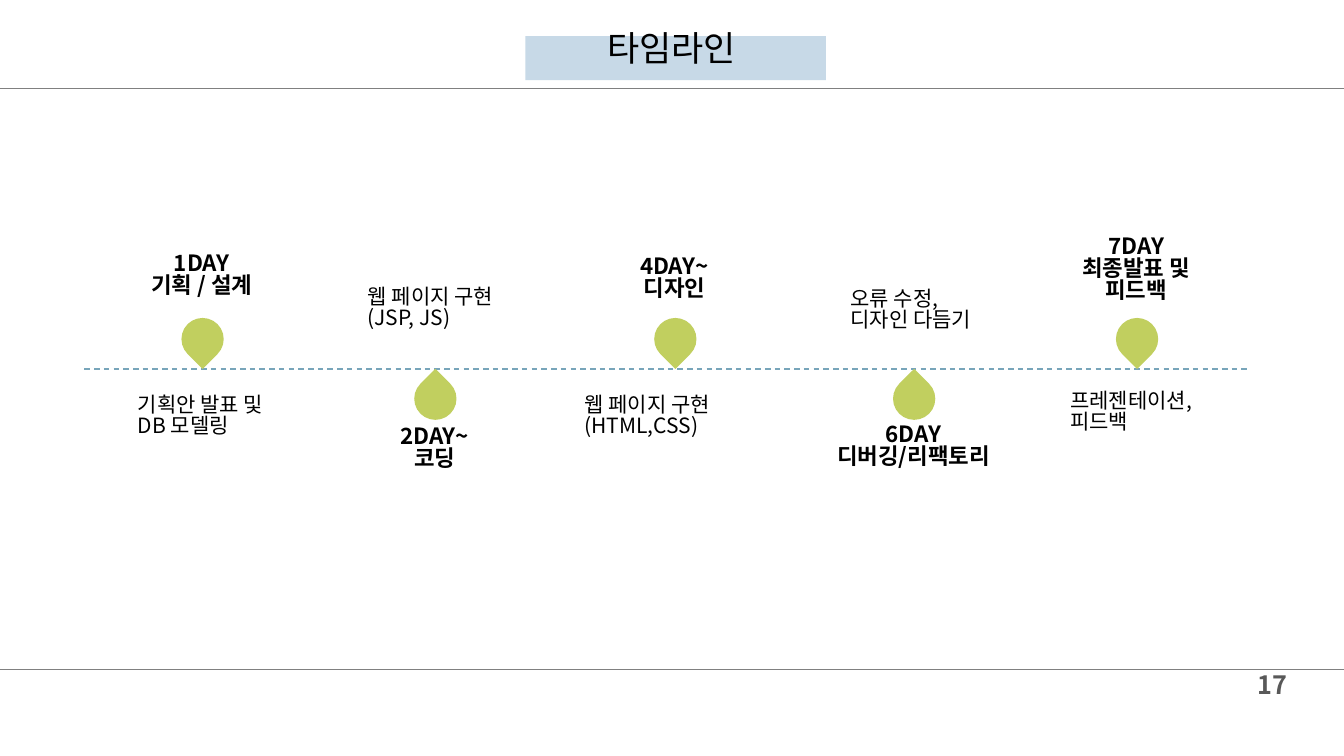
"""Build the project timeline slide with five milestones on a dashed axis."""
from lxml import etree
from pptx import Presentation
from pptx.dml.color import RGBColor
from pptx.enum.dml import MSO_LINE
from pptx.enum.shapes import MSO_CONNECTOR, MSO_SHAPE
from pptx.enum.text import MSO_ANCHOR, PP_ALIGN
from pptx.oxml.ns import qn
from pptx.util import Pt

TITLE = "타임라인"
PAGE_NUMBER = "17"
MILESTONES = [
    {"x": 144.7, "above": True, "label": ["1DAY", "기획 / 설계"], "label_top": 177.8,
     "note": ["기획안 발표 및", "DB 모델링"], "note_at": (91.4, 279.4)},
    {"x": 311, "above": False, "label": ["2DAY~", "코딩"], "label_top": 301.7,
     "note": ["웹 페이지 구현", "(JSP, JS)"], "note_at": (255.6, 202.3)},
    {"x": 482.4, "above": True, "label": ["4DAY~", "디자인"], "label_top": 180,
     "note": ["웹 페이지 구현", "(HTML,CSS)"], "note_at": (410.4, 279.4)},
    {"x": 653, "above": False, "label": ["6DAY", "디버깅/리팩토리"], "label_top": 300.2,
     "note": ["오류 수정,", "디자인 다듬기"], "note_at": (600.5, 203.8)},
    {"x": 812.2, "above": True, "label": ["7DAY", "최종발표 및", "피드백"], "label_top": 165.6,
     "note": ["프레젠테이션,", "피드백"], "note_at": (757.4, 276.5)},
]

FONT = "Noto Sans CJK KR"
BLACK, GRAY, DARK_GRAY = "000000", "808080", "595959"
PALE_BLUE, AXIS_BLUE, GREEN = "C7D9E7", "78A5BA", "C1CF5F"
LEFT, CENTER, TOP = PP_ALIGN.LEFT, PP_ALIGN.CENTER, MSO_ANCHOR.TOP
RECTANGLE, TEARDROP = MSO_SHAPE.RECTANGLE, MSO_SHAPE.TEAR
STRAIGHT, DASH = MSO_CONNECTOR.STRAIGHT, MSO_LINE.DASH
WIDTH, HEIGHT = 960, 540
AXIS_Y, PIN_SIZE, PIN_OFFSET = 263.5, 30.2, 21.3
LABEL_WIDTH, NOTE_WIDTH, LINE_HEIGHT = 149, 157.7, 19.2


def color(value):
    return RGBColor.from_string(value)


def write(holder, lines, size, fill=BLACK, bold=False, align=LEFT, spacing=0.82):
    frame = holder.text_frame
    frame.word_wrap = True
    frame.vertical_anchor = TOP
    frame.margin_left = frame.margin_right = Pt(7.2)
    frame.margin_top = frame.margin_bottom = Pt(3.6)
    for index, line in enumerate(lines):
        paragraph = frame.add_paragraph() if index else frame.paragraphs[0]
        paragraph.alignment = align
        paragraph.line_spacing = spacing
        paragraph.space_before = Pt(0)
        run = paragraph.add_run()
        run.text = line
        run.font.name = FONT
        run.font.size = Pt(size)
        run.font.bold = bold
        run.font.color.rgb = color(fill)
        east_asian = etree.SubElement(run._r.get_or_add_rPr(), qn("a:ea"))
        east_asian.set("typeface", FONT)


def add_text(slide, box, lines, size, **text_format):
    write(slide.shapes.add_textbox(*map(Pt, box)), lines, size, **text_format)


def add_filled(slide, kind, box, fill, rotation=0):
    shape = slide.shapes.add_shape(kind, *map(Pt, box))
    shape.shadow.inherit = False
    shape.fill.solid()
    shape.fill.fore_color.rgb = color(fill)
    shape.line.fill.background()
    shape.rotation = rotation


def add_rule(slide, start, end, y, stroke, dash=None):
    rule = slide.shapes.add_connector(STRAIGHT, Pt(start), Pt(y), Pt(end), Pt(y))
    rule.line.color.rgb = color(stroke)
    rule.line.width = Pt(1)
    rule.line.dash_style = dash
    etree.SubElement(rule._element.spPr, qn("a:effectLst"))


def add_milestone(slide, milestone):
    x, above = milestone["x"], milestone["above"]
    pin_y = AXIS_Y - PIN_OFFSET if above else AXIS_Y + PIN_OFFSET
    pin_box = (x - PIN_SIZE / 2, pin_y - PIN_SIZE / 2, PIN_SIZE, PIN_SIZE)
    add_filled(slide, TEARDROP, pin_box, GREEN, 135 if above else 315)
    label, note = milestone["label"], milestone["note"]
    label_box = (x - 0.5 - LABEL_WIDTH / 2, milestone["label_top"],
                 LABEL_WIDTH, LINE_HEIGHT * len(label) + 7.2)
    add_text(slide, label_box, label, 16, bold=True, align=CENTER)
    note_box = (*milestone["note_at"], NOTE_WIDTH, 44)
    add_text(slide, note_box, note, 15)


def main():
    deck = Presentation()
    deck.slide_width, deck.slide_height = Pt(WIDTH), Pt(HEIGHT)
    slide = deck.slides.add_slide(deck.slide_layouts[5])
    add_filled(slide, RECTANGLE, (375.3, 25.8, 214.6, 31.4), PALE_BLUE)
    for y in (63.2, 478.2):
        add_rule(slide, 0, WIDTH, y, GRAY)
    add_text(slide, (889.9, 478.2, 38.2, 29), [PAGE_NUMBER], 18,
             fill=DARK_GRAY, bold=True, align=CENTER)

    title = slide.shapes.title
    title.left, title.top, title.width, title.height = map(Pt, (362.9, 20.9, 234, 37.5))
    write(title, [TITLE], 25, align=CENTER)
    slide.shapes._spTree.append(title._element)

    add_rule(slide, 60.3, 892.8, AXIS_Y, AXIS_BLUE, DASH)
    for milestone in MILESTONES:
        add_milestone(slide, milestone)
    deck.save("out.pptx")


if __name__ == "__main__":
    main()
